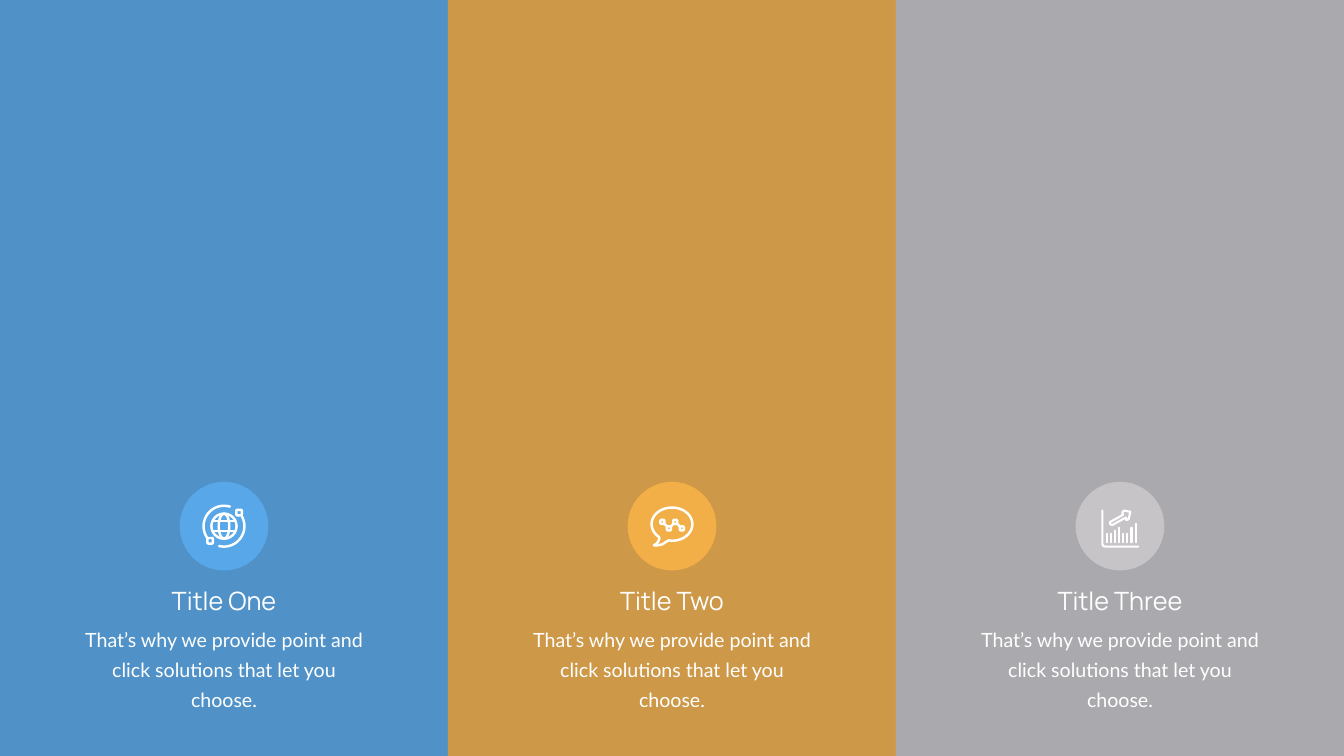
from math import cos, radians, sin
from lxml.etree import SubElement
from pptx import Presentation
from pptx.dml.color import RGBColor
from pptx.enum.shapes import MSO_SHAPE as Kind
from pptx.enum.text import MSO_AUTO_SIZE as Auto, PP_ALIGN as Align
from pptx.oxml.ns import qn
from pptx.util import Inches, Pt

WIDE, HIGH = 26.66, 15
COL = WIDE / 3
DISC = 1.76
UNIT = DISC / 176
BLUE = RGBColor(0x57, 0xA7, 0xE9)
GOLD = RGBColor(0xF3, 0xAF, 0x47)
GREY = RGBColor(0xC7, 0xC4, 0xC7)
DARK = RGBColor(0x36, 0x3E, 0x48)
WHITE = RGBColor(0xFF, 0xFF, 0xFF)
BODY = "That’s why we provide point and click solutions that let you choose."


def arc(rx, ry, start, end, cy=0):
    steps = 40
    turns = [radians(start + (end - start) * i / steps) for i in range(steps + 1)]
    return [(rx * cos(t), cy + ry * sin(t)) for t in turns]


def knot(x, y, half, cut):
    edge = [(-half, -cut), (-cut, -half), (cut, -half), (half, -cut),
            (half, cut), (cut, half), (-cut, half), (-half, cut), (-half, -cut)]
    return [(x + dx, y + dy) for dx, dy in edge]


def block(shapes, kind, left, top, width, height, color):
    shape = shapes.add_shape(
        kind, Inches(left), Inches(top), Inches(width), Inches(height))
    shape.shadow.inherit = False
    shape.fill.solid()
    shape.fill.fore_color.rgb = color
    shape.line.fill.background()
    return shape


class Pen:
    def __init__(self, shapes, mid, weight):
        self.shapes, self.mid, self.weight = shapes, mid, weight

    def place(self, x, y):
        return Inches(self.mid[0] + x * UNIT), Inches(self.mid[1] + y * UNIT)

    def ink(self, shape):
        shape.shadow.inherit = False
        shape.fill.background()
        shape.line.color.rgb = WHITE
        shape.line.width = Pt(self.weight)
        shape.element.spPr.find(qn("a:ln")).set("cap", "rnd")

    def trace(self, *runs, close=False):
        form = None
        for run in runs:
            spots = [self.place(*p) for p in run]
            if form is None:
                form = self.shapes.build_freeform(*spots[0], scale=1)
            else:
                form.move_to(*spots[0])
            form.add_line_segments(spots[1:], close=close)
        self.ink(form.convert_to_shape())

    def ring(self, kind, x, y, rx, ry):
        left, top = self.place(x - rx, y - ry)
        self.ink(self.shapes.add_shape(
            kind, left, top, Inches(2 * rx * UNIT), Inches(2 * ry * UNIT)))


def globe(shapes, mid):
    pen = Pen(shapes, mid, 3.5)
    pen.ring(Kind.OVAL, 0, 0, 25, 25)
    pen.ring(Kind.OVAL, 0, 0, 10.5, 25)
    for y in (-10, 10):
        pen.trace([(-22, y), (22, y)])
    for start, end in ((-28, 104), (144, 287)):
        pen.trace(arc(40.5, 40.5, start, end))
    for x, y in ((30, -27), (-27.5, 29)):
        pen.ring(Kind.ROUNDED_RECTANGLE, x, y, 5.5, 5.5)


def bubble(shapes, mid):
    pen = Pen(shapes, mid, 3.5)
    tail = [(-25, 24), (-27, 30), (-31, 35), (-36, 38),
            (-28, 38), (-19, 36), (-10, 30), (-6, 28)]
    pen.trace(arc(40.5, 33, 90, -230, -4) + tail, close=True)
    nodes = [(-19, -8.5), (-6, 4.5), (6.5, -8.5), (19.5, 4.5)]
    knots = [knot(x, y, 4, 2.5) for x, y in nodes]
    links = []
    for (x, y), (to_x, to_y) in zip(nodes, nodes[1:]):
        gap = 4 if to_y > y else -4
        links.append([(x + 4, y + gap), (to_x - 4, to_y - gap)])
    pen.trace(*knots, *links)


def graph(shapes, mid):
    pen = Pen(shapes, mid, 3)
    pen.trace([(-35, -31), (-35, 35), (-33.5, 39), (-30, 40.5), (36.5, 40.5)])
    for i, top in enumerate((13, 13, 7, 1, 13, 13, 1, -7)):
        x = -26 + 8.15 * i
        pen.trace([(x, top + 2), (x, 32)])
    pen.trace([(7.5, -31), (20.5, -28.5), (17, -13.5), (12.5, -12), (11.5, -17),
               (-15, -2.5), (-19.5, -3.5), (-20, -8), (6, -22.5), (4.5, -27)],
              close=True)


def words(shapes, text, mid, top, width, height, face, size, wrap):
    box = shapes.add_textbox(
        Inches(mid - width / 2), Inches(top), Inches(width), Inches(height))
    frame = box.text_frame
    frame.text = text
    frame.word_wrap = wrap
    frame.auto_size = Auto.SHAPE_TO_FIT_TEXT
    para = frame.paragraphs[0]
    para.alignment = Align.CENTER
    font = para.runs[0].font
    font.name, font.size = face, Pt(size)
    font.color.rgb = WHITE
    return para


def panel(shapes, left, color, title, width, icon):
    back = block(shapes, Kind.RECTANGLE, left, 0, COL, HIGH, color)
    tint = back.element.spPr.find(qn("a:solidFill"))[0]
    SubElement(tint, qn("a:alpha")).set("val", "80000")
    mid = left + COL / 2
    level = HIGH * 0.696
    block(shapes, Kind.OVAL, mid - DISC / 2, level - DISC / 2, DISC, DISC, color)
    icon(shapes, (mid, level))
    para = words(shapes, BODY, mid, HIGH * 0.818, 5.97, 1.25, "Lato", 28, True)
    para.line_spacing = Pt(43)
    words(shapes, title, mid, HIGH * 0.771, width, 0.71, "Manrope", 36, False)


def main():
    deck = Presentation()
    deck.slide_width, deck.slide_height = Inches(WIDE), Inches(HIGH)
    slide = deck.slides.add_slide(deck.slide_layouts[6])
    slide.background.fill.solid()
    slide.background.fill.fore_color.rgb = DARK
    panels = [(BLUE, "Title One", 2.39, globe), (GOLD, "Title Two", 2.37, bubble),
              (GREY, "Title Three", 2.77, graph)]
    for i, (color, title, width, icon) in enumerate(panels):
        panel(slide.shapes, i * COL, color, title, width, icon)
    deck.save("out.pptx")


if __name__ == "__main__":
    main()
